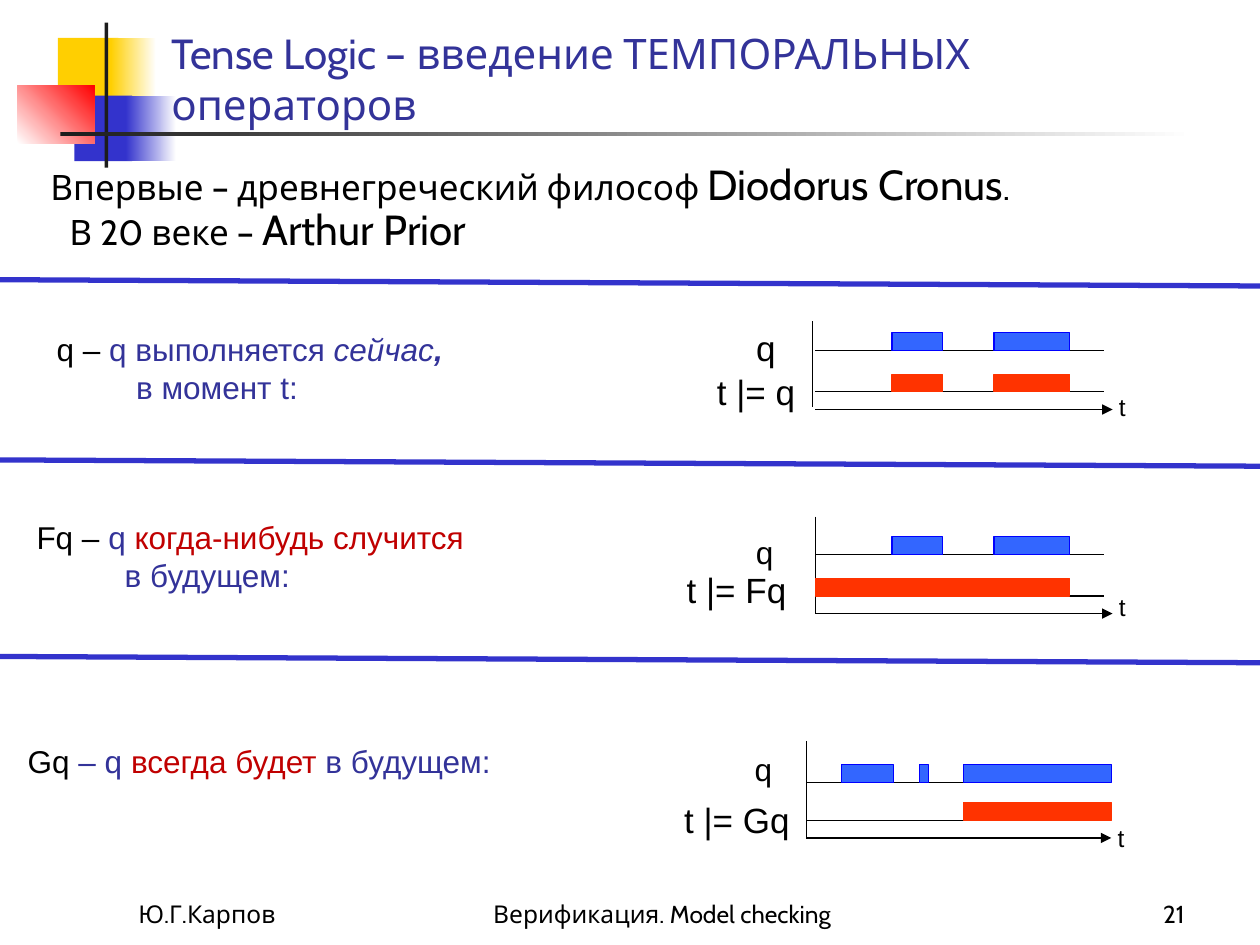
"""Builds the slide that introduces the tense operators q, Fq and Gq."""
from pptx import Presentation
from pptx.dml.color import RGBColor
from pptx.enum.shapes import MSO_CONNECTOR, MSO_SHAPE
from pptx.enum.text import MSO_ANCHOR, MSO_AUTO_SIZE, PP_ALIGN
from pptx.oxml.ns import qn
from pptx.util import Inches, Pt
from lxml import etree

STRAIGHT, RECTANGLE = MSO_CONNECTOR.STRAIGHT, MSO_SHAPE.RECTANGLE
TOP, MIDDLE, BOTTOM = MSO_ANCHOR.TOP, MSO_ANCHOR.MIDDLE, MSO_ANCHOR.BOTTOM
LEFT, CENTER, RIGHT = PP_ALIGN.LEFT, PP_ALIGN.CENTER, PP_ALIGN.RIGHT
NO_FIT = MSO_AUTO_SIZE.NONE
COLUMNS, ROWS = 10, 7.5
COLORS = {
    "black": "000000", "white": "FFFFFF", "ink": "1C1C1C", "yellow": "FFCF01",
    "blue": "3333CC", "red": "FF0000", "navy": "333399", "crimson": "C00000",
    "pulse": "3366FF", "pulse_edge": "0000FF", "truth": "FF3300",
}
PULSE_HEIGHT = 0.14


class SlideBuilder:
    """Holds the style and the current slide; lengths are grid columns and rows."""

    def __init__(self, deck):
        self.column = deck.slide_width / COLUMNS
        self.row = deck.slide_height / ROWS
        self.slide = deck.slides.add_slide(deck.slide_layouts[1])
        self.heading_font, self.label_font = "Cabin", "Arial"

    def color(self, name):
        return RGBColor.from_string(COLORS[name])

    def grid(self, *lengths):
        units = (self.column, self.row) * 2
        return [round(length * unit) for length, unit in zip(lengths, units)]

    def fill_text(self, frame, lines, font, anchor=TOP, align=LEFT, spacing=1.0, inset=(0.1, 0.05)):
        side, edge = map(Inches, inset)
        frame_format = {
            "word_wrap": True, "auto_size": NO_FIT, "vertical_anchor": anchor,
            "margin_left": side, "margin_right": side,
            "margin_top": edge, "margin_bottom": edge,
        }
        for attribute, value in frame_format.items():
            setattr(frame, attribute, value)
        for number, (indent, runs) in enumerate(lines):
            paragraph = frame.add_paragraph() if number else frame.paragraphs[0]
            properties = paragraph._p.get_or_add_pPr()
            properties.set("marL", str(Inches(indent)))
            properties.set("indent", "0")
            paragraph_format = {"alignment": align, "line_spacing": spacing, "space_before": Pt(0)}
            for attribute, value in paragraph_format.items():
                setattr(paragraph, attribute, value)
            etree.SubElement(properties, qn("a:buNone"))
            for text, size, color, *emphasis in runs:
                run = paragraph.add_run()
                run.text = text
                run_format = {
                    "name": font, "size": Pt(size),
                    "bold": "bold" in emphasis, "italic": "italic" in emphasis,
                }
                for attribute, value in run_format.items():
                    setattr(run.font, attribute, value)
                run.font.color.rgb = self.color(color)

    def placeholder(self, index, box, lines, **layout):
        holder = self.slide.placeholders[index]
        holder.left, holder.top, holder.width, holder.height = self.grid(*box)
        self.fill_text(holder.text_frame, lines, self.heading_font, **layout)
        self.slide.shapes._spTree.append(holder._element)

    def footer(self, box, text, align):
        frame = self.slide.shapes.add_textbox(*self.grid(*box)).text_frame
        self.fill_text(frame, [(0, [(text, 14, "black")])], self.heading_font, BOTTOM, align)

    def label(self, box, lines):
        frame = self.slide.shapes.add_textbox(*self.grid(*box)).text_frame
        self.fill_text(frame, lines, self.label_font, inset=(0.06, 0.03))

    def block(self, box, color, fade=None, angle=0, edge=None):
        block = self.slide.shapes.add_shape(RECTANGLE, *self.grid(*box))
        block.shadow.inherit = False
        if fade:
            block.fill.gradient()
            block.fill.gradient_angle = angle
            for stop, name in zip(block.fill.gradient_stops, (color, fade)):
                stop.color.rgb = self.color(name)
        else:
            block.fill.solid()
            block.fill.fore_color.rgb = self.color(color)
        if edge:
            block.line.color.rgb = self.color(edge)
            block.line.width = Pt(0.75)
        else:
            block.line.fill.background()

    def line(self, start, end, color="black", width=0.75, arrow=False):
        line = self.slide.shapes.add_connector(STRAIGHT, *self.grid(*start, *end))
        line.line.color.rgb = self.color(color)
        line.line.width = Pt(width)
        if arrow:
            etree.SubElement(line.line._get_or_add_ln(), qn("a:tailEnd"), type="triangle")
        etree.SubElement(line._element.spPr, qn("a:effectLst"))

    def timeline(self, origin, rise, axis, end, traces, pulses, truths, labels):
        self.line(*rise)
        self.line((origin, axis), (end, axis), arrow=True)
        rows = zip(traces, (pulses, truths), ("pulse", "truth"), ("pulse_edge", "truth"))
        for level, spans, color, edge in rows:
            self.line((origin, level), (end - 0.07, level))
            for left, width in spans:
                self.block((left, level - PULSE_HEIGHT, width, PULSE_HEIGHT), color, edge=edge)
        for box, text, size in labels:
            self.label(box, [(0, [(text, size, "black")])])


def main():
    deck = Presentation()
    deck.slide_width, deck.slide_height = Inches(COLUMNS), Inches(ROWS)
    page = SlideBuilder(deck)

    page.block((0.46, 0.3, 0.48, 0.52), "yellow")
    page.block((0.88, 0.3, 0.36, 0.52), "yellow", "white")
    page.block((0.59, 0.76, 0.46, 0.52), "blue")
    page.block((1, 0.76, 0.4, 0.52), "blue", "white")
    page.block((0.14, 0.68, 0.61, 0.46), "white", "red", 45)
    page.block((0.83, 0.18, 0.03, 1.15), "ink")
    page.block((0.48, 1.05, 9, 0.03), "ink", "white")

    page.footer((1, 6.92, 2.08, 0.5), "Ю.Г.Карпов", LEFT)
    page.footer((3.67, 6.92, 3.17, 0.5), "Верификация. Model checking", CENTER)
    page.footer((7.42, 6.92, 2.08, 0.5), "21", RIGHT)

    page.label((0.39, 2.59, 5.31, 0.66), [
        (0, [("q – ", 18, "black"), ("q выполняется ", 18, "navy"),
             ("сейчас", 18, "navy", "italic"), (",", 18, "navy", "italic", "bold")]),
        (0.63, [("в момент t:", 18, "navy")]),
    ])
    page.label((0.23, 4.08, 4.92, 0.66), [
        (0, [("Fq – ", 18, "black"), ("q ", 18, "navy"),
             ("когда-нибудь случится", 18, "crimson")]),
        (0.7, [("в будущем:", 18, "navy")]),
    ])
    page.label((0.16, 5.86, 5.08, 0.46), [
        (0, [("Gq ", 18, "black"), ("– q ", 18, "navy"),
             ("всегда будет", 18, "crimson"), (" в будущем:", 18, "navy")]),
    ])

    twice = [(7.08, 0.4), (7.89, 0.6)]
    lasting = (7.65, 1.17)
    page.timeline(
        6.47, ((6.45, 2.55), (6.45, 3.23)), 3.25, 8.83, (2.78, 3.11), twice, twice,
        [((5.94, 2.56, 0.28, 0.4), "q", 20), ((5.63, 2.91, 0.87, 0.4), "t |= q", 20),
         ((8.82, 3.08, 0.27, 0.3), "t", 14)])
    page.timeline(
        6.47, ((6.47, 4.1), (6.47, 4.87)), 4.87, 8.83, (4.4, 4.73), twice, [(6.47, 2.02)],
        [((5.94, 4.2, 0.4, 0.36), "q", 18), ((5.39, 4.48, 1.09, 0.4), "t |= Fq", 20),
         ((8.82, 4.67, 0.27, 0.3), "t", 14)])
    page.timeline(
        6.4, ((6.4, 5.88), (6.4, 6.65)), 6.65, 8.82, (6.21, 6.51),
        [(6.68, 0.41), (7.3, 0.07), lasting], [lasting],
        [((5.93, 5.92, 0.41, 0.36), "q", 18), ((5.37, 6.31, 1.08, 0.4), "t |= Gq", 20),
         ((8.81, 6.5, 0.27, 0.3), "t", 14)])

    page.placeholder(0, (1.26, 0.22, 8.52, 0.8), [
        (0, [("Tense Logic – введение ТЕМПОРАЛЬНЫХ операторов", 24, "navy")]),
    ], anchor=MIDDLE)
    page.placeholder(1, (0, 1.25, 9.72, 0.88), [
        (0.3, [("Впервые – древнегреческий философ ", 20, "black"),
               ("Diodorus Cronus", 24, "black"), (".", 20, "black")]),
        (0.45, [("В 20 веке – ", 20, "black"), ("Arthur Prior", 24, "black")]),
    ], spacing=0.9)

    for divider in (2.22, 3.65, 5.21):
        page.line((0, divider), (COLUMNS, divider + 0.05), "blue", 3)

    deck.save("out.pptx")


if __name__ == "__main__":
    main()
